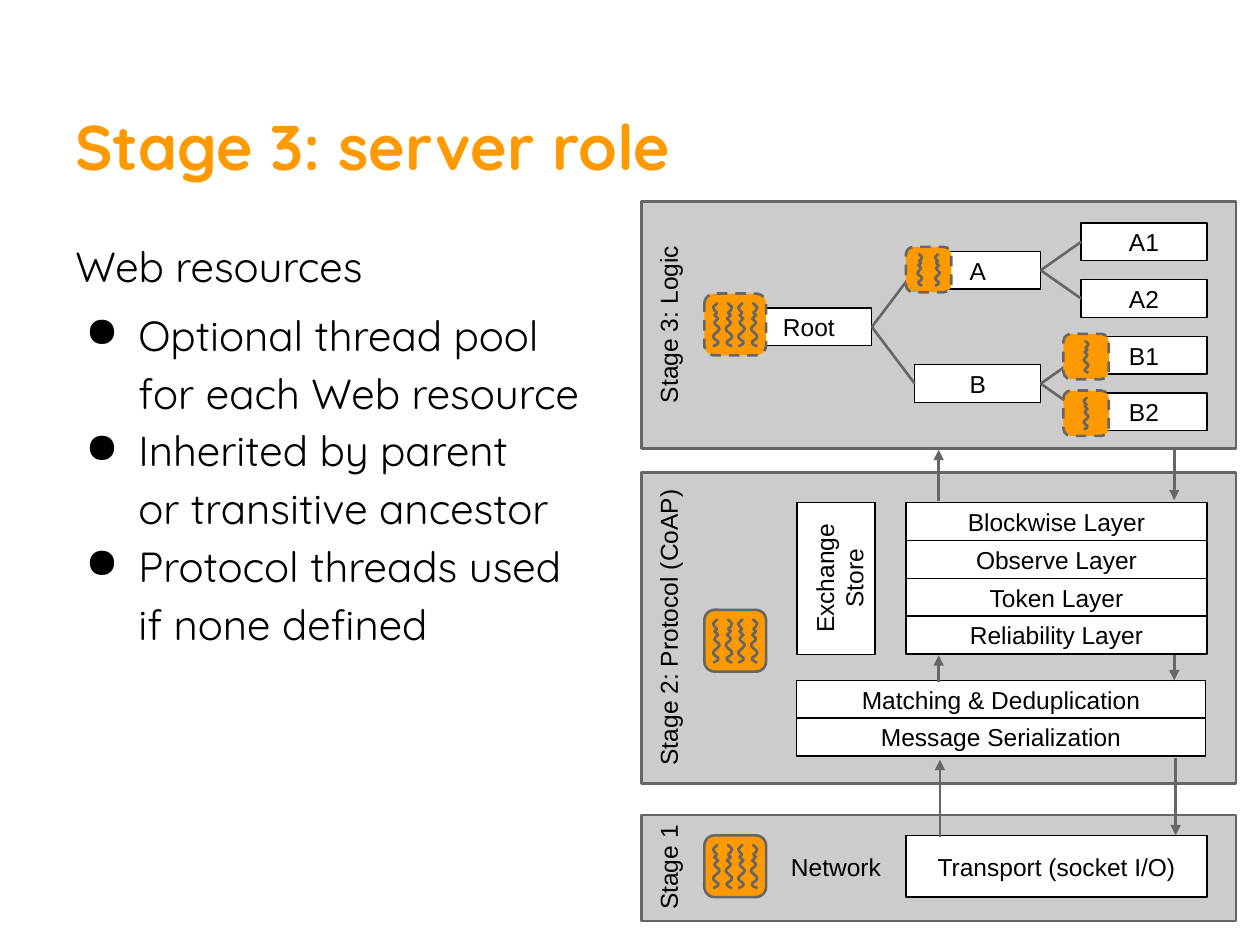
from lxml import etree
from pptx import Presentation
from pptx.dml.color import RGBColor
from pptx.enum import dml, shapes, text
from pptx.oxml import ns
from pptx.util import Inches, Pt

TITLE = "Stage 3: server role"
LEAD = "Web resources"
POINTS = [
    ("Optional thread pool", "for each Web resource"),
    ("Inherited by parent", "or transitive ancestor"),
    ("Protocol threads used", "if none defined"),
]
BLACK, WHITE, GREY, DARK, ORANGE = "000000", "FFFFFF", "CCCCCC", "666666", "FF9900"

# label, panel top, panel height, label length
STAGES = [
    ("Stage 3: Logic", 1.6, 1.96, 1.97),
    ("Stage 2: Protocol (CoAP)", 3.75, 2.47, 2.47),
    ("Stage 1", 6.47, 0.84, 0.92),
]
# left, top, width, row height, labels from top to bottom
STACKS = [
    (7.19, 3.99, 2.39, 0.3,
     ["Blockwise Layer", "Observe Layer", "Token Layer", "Reliability Layer"]),
    (6.32, 5.4, 3.25, 0.3, ["Matching & Deduplication", "Message Serialization"]),
    (7.19, 6.63, 2.39, 0.49, ["Transport (socket I/O)"]),
]
# Web resources: name -> left, row (the leaves sit on rows 0 to 3)
NODES = {
    "A1": (8.58, 0), "A2": (8.58, 1), "B2": (8.58, 3), "B1": (8.58, 2),
    "A": (7.26, 0.5), "B": (7.26, 2.5), "Root": (5.92, 1.5),
}
EDGES = [("Root", "A"), ("Root", "B"), ("A", "A1"), ("A", "A2"), ("B", "B1"), ("B", "B2")]
NODE_W, NODE_H, ROW_TOP, ROW_GAP = 1, 0.3, 1.77, 0.45

# left, top, size, dashed, threads (< is mirrored)
LOW_POOLS = [
    (5.59, 4.84, 0.49, False, "><><"),
    (5.59, 6.63, 0.49, False, "><><"),
    (5.59, 2.33, 0.49, True, "><><"),
]
TOP_POOLS = [
    (8.44, 2.65, 0.36, True, "<"),
    (8.44, 3.1, 0.36, True, ">"),
    (7.19, 1.96, 0.36, True, "<>"),
]
# x, start y, end y
ARROWS = [
    (7.46, 6.64, 6.03), (9.33, 6.02, 6.63), (7.45, 5.41, 5.2),
    (9.32, 5.2, 5.4), (7.45, 3.98, 3.57), (9.32, 3.56, 3.97),
]
# One thread as a chain of cubic curves on a grid of 5 by 35
THREAD = [
    (0, 35), (2, 34), (5, 33), (4, 31), (3, 30), (0, 29), (0, 27), (0, 25), (5, 23),
    (5, 21), (5, 19), (1, 18), (1, 16), (1, 14), (4, 14), (4, 13), (4, 12), (1, 11),
    (1, 10), (2, 9), (3, 9), (3, 8), (2, 7), (0, 6), (0, 4), (0, 3), (4, 1), (3, 0),
]
THREAD_W, THREAD_H = 5, 35

prs = Presentation()
prs.slide_width, prs.slide_height = Inches(10), Inches(7.5)
slide = prs.slides.add_slide(prs.slide_layouts[6])


def color(code):
    return RGBColor.from_string(code)


def style(shape, fill, line, width):
    shape.shadow.inherit = False
    if fill:
        shape.fill.solid()
        shape.fill.fore_color.rgb = color(fill)
    else:
        shape.fill.background()
    shape.line.color.rgb = color(line)
    shape.line.width = Pt(width)


def write(para, words, size, face, code=BLACK, bold=False):
    run = para.add_run()
    run.text = words
    font = run.font
    font.size, font.name, font.bold = Pt(size), face, bold
    font.color.rgb = color(code)


def frame(shape, anchor):
    """Set up wrapping, margins and anchor; return the first paragraph."""
    tf = shape.text_frame
    tf.word_wrap = True
    tf.vertical_anchor = anchor
    tf.margin_left = tf.margin_right = tf.margin_top = tf.margin_bottom = Inches(0.1)
    return tf.paragraphs[0]


def note(words, *at, turn=0):
    box = slide.shapes.add_textbox(*map(Inches, at))
    box.rotation = turn
    para = frame(box, text.MSO_ANCHOR.TOP)
    para.alignment = text.PP_ALIGN.CENTER
    write(para, words, 14, "Arial")


def rect(*at, fill=WHITE, line=BLACK, width=0.75):
    shape = slide.shapes.add_shape(shapes.MSO_SHAPE.RECTANGLE, *map(Inches, at))
    style(shape, fill, line, width)
    return shape


def label(words, *at, turn=0, anchor=text.MSO_ANCHOR.MIDDLE):
    shape = rect(*at)
    shape.rotation = turn
    para = frame(shape, anchor)
    para.alignment = text.PP_ALIGN.CENTER
    write(para, words, 14, "Arial")


def link(x1, y1, x2, y2, arrow=False):
    line = slide.shapes.add_connector(
        shapes.MSO_CONNECTOR.STRAIGHT, *map(Inches, (x1, y1, x2, y2)))
    line.line.color.rgb = color(DARK)
    line.line.width = Pt(1.5)
    if arrow:
        etree.SubElement(line.line._get_or_add_ln(), ns.qn("a:tailEnd"), type="triangle")
    etree.SubElement(line._element.spPr, ns.qn("a:effectLst"))


def thread(group, x, y, unit, mirror):
    build = group.build_freeform(0, 0, scale=Inches(unit))
    build.add_line_segments([(THREAD_W, THREAD_H)], close=False)
    shape = build.convert_to_shape(Inches(x), Inches(y))
    style(shape, None, DARK, 1.5)
    track = shape._element.spPr.find(".//" + ns.qn("a:path"))
    for old in list(track):
        track.remove(old)
    for i, (px, py) in enumerate(THREAD):
        if i % 3 == 1 or i == 0:
            part = etree.SubElement(track, ns.qn("a:cubicBezTo" if i else "a:moveTo"))
        px = THREAD_W - px if mirror else px
        etree.SubElement(part, ns.qn("a:pt"), x=str(px), y=str(py))


def pool(left, top, size, dashed, threads):
    group = slide.shapes.add_group_shape().shapes
    box = group.add_shape(shapes.MSO_SHAPE.ROUNDED_RECTANGLE,
                          *map(Inches, (left, top, size, size)))
    box.adjustments[0] = 0.167
    style(box, ORANGE, DARK, 1.5)
    if dashed:
        box.line.dash_style = dml.MSO_LINE.DASH
    unit = size / 49
    gap = 0.1 if len(threads) > 2 else 0.14
    for i, way in enumerate(threads):
        x = left + size / 2 + (i - (len(threads) - 1) / 2) * gap - THREAD_W * unit / 2
        y = top + (size - THREAD_H * unit) / 2
        thread(group, x, y, unit, way == "<")


def bullet(para):
    props = para._p.get_or_add_pPr()
    props.set("marL", str(Inches(0.5)))
    props.set("indent", str(Inches(-0.42)))
    tint = etree.SubElement(props, ns.qn("a:buClr"))
    etree.SubElement(tint, ns.qn("a:srgbClr"), val=BLACK)
    etree.SubElement(props, ns.qn("a:buChar"), char="●")


body = slide.shapes.add_textbox(*map(Inches, (0.5, 1.75, 9, 5.43)))
para = frame(body, text.MSO_ANCHOR.TOP)
para.line_spacing = 1.15
write(para, LEAD, 24, "Quicksand")
for i, (first, second) in enumerate(POINTS):
    para = body.text_frame.add_paragraph()
    bullet(para)
    para.line_spacing = 1.15
    para.space_before = Pt(0 if i else 6)
    write(para, first, 24, "Quicksand")
    para.add_line_break()
    write(para, second, 24, "Quicksand")

head = slide.shapes.add_textbox(*map(Inches, (0.5, 0.3, 9, 1.25)))
write(frame(head, text.MSO_ANCHOR.BOTTOM), TITLE, 36, "Quicksand", ORANGE, True)

for words, top, height, length in STAGES:
    rect(5.09, top, 4.72, height, fill=GREY, line=DARK, width=1.5)
    note(words, 5.27 - length / 2, top + height / 2 - 0.19, length, 0.37, turn=270)
label("Exchange Store", 6.03, 4.28, 1.21, 0.62, turn=270, anchor=text.MSO_ANCHOR.TOP)
for left, top, width, height, rows in STACKS:
    for i, words in enumerate(rows):
        label(words, left, top + i * height, width, height)
note("Network", 6.08, 6.66, 1.11, 0.46)

for name, (left, row) in NODES.items():
    label(name, left, ROW_TOP + row * ROW_GAP, NODE_W, NODE_H)
for item in LOW_POOLS:
    pool(*item)
for start, end in EDGES:
    (x1, r1), (x2, r2) = NODES[start], NODES[end]
    mid = ROW_TOP + NODE_H / 2
    link(x1 + NODE_W, mid + r1 * ROW_GAP, x2, mid + r2 * ROW_GAP)
for x, y1, y2 in ARROWS:
    link(x, y1, x, y2, arrow=True)
for item in TOP_POOLS:
    pool(*item)

prs.save("out.pptx")
